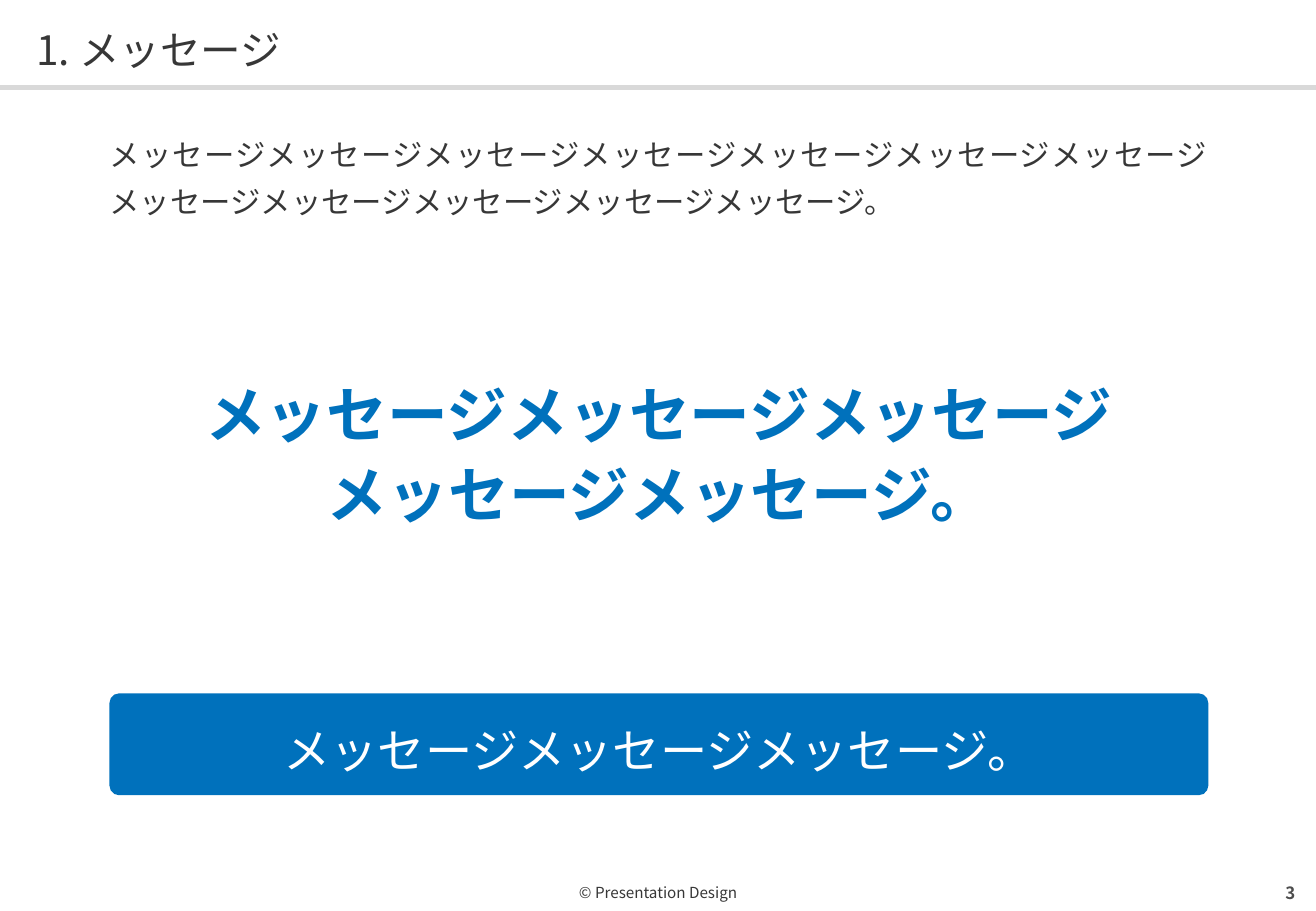
from pptx import Presentation
from pptx.dml.color import RGBColor
from pptx.enum.shapes import MSO_SHAPE as Shape
from pptx.enum.text import MSO_ANCHOR as Anchor, MSO_AUTO_SIZE as AutoSize, PP_ALIGN as Align
from pptx.oxml.ns import qn
from pptx.util import Cm, Pt
from lxml.etree import SubElement

FONT = "Noto Sans CJK JP"
COLORS = {
    "text": "373737",
    "number": "4D4D4D",
    "rule": "D9D9D9",
    "accent": "0071BC",
    "white": "FFFFFF",
}
PAGE_WIDTH, PAGE_HEIGHT = 27.51, 19.05


def color(name):
    return RGBColor.from_string(COLORS[name])


def place(shape, box):
    shape.left, shape.top, shape.width, shape.height = map(Cm, box)


def write(shape, lines, size, ink="text", bold=False, align=Align.LEFT,
          spacing=1.0, anchor=Anchor.TOP, insets=(0, 0, 0, 0), fit=AutoSize.NONE):
    """Fill a shape with one paragraph per line, all in one style."""
    frame = shape.text_frame
    frame.auto_size = fit
    frame.word_wrap = True
    frame.vertical_anchor = anchor
    (frame.margin_left, frame.margin_top,
     frame.margin_right, frame.margin_bottom) = map(Cm, insets)
    frame.text = "\n".join(lines)
    for para in frame.paragraphs:
        para.alignment = align
        para.line_spacing = spacing
        font = para.font
        font.size = Pt(size)
        font.bold = bold
        font.color.rgb = color(ink)
        font.name = FONT
        # East Asian typeface for the Japanese text
        SubElement(font._element, qn("a:ea")).set("typeface", FONT)


def add_block(page, kind, box, fill=None):
    block = page.shapes.add_shape(kind, *map(Cm, box))
    block.shadow.inherit = False
    block.line.fill.background()
    if fill:
        block.fill.solid()
        block.fill.fore_color.rgb = color(fill)
    else:
        block.fill.background()
    return block


def add_panel(page, box, lines, size, fill=None, rounding=0, **style):
    """Rounded panel that grows with its text."""
    panel = add_block(page, Shape.ROUNDED_RECTANGLE, box, fill)
    panel.adjustments[0] = rounding
    write(panel, lines, size, fit=AutoSize.SHAPE_TO_FIT_TEXT, **style)


def add_header(page, box, title):
    left, top, width, height = box
    rule_height = 0.1
    add_block(page, Shape.RECTANGLE,
              (left, top + height - rule_height, width, rule_height), "rule")
    heading = page.shapes.title
    place(heading, (left + 0.76, top + 0.43, width - 1.5, 1.09))
    write(heading, [title], 24, spacing=1.1, anchor=Anchor.MIDDLE)


def add_messages(page, box):
    left, top, width, height = box
    # Lead text
    add_panel(page, (left, top, width, 1.93), ["メッセージ" * 12 + "。"], 18,
              align=Align.JUSTIFY, spacing=1.3)
    # Key message
    add_panel(page, (left, top + 5.1, width, 3.38),
              ["メッセージ" * 3, "メッセージ" * 2 + "。"], 36,
              ink="accent", bold=True, align=Align.CENTER, spacing=1.1)
    # Closing banner along the bottom
    banner_height = 2.13
    add_panel(page, (left, top + height - banner_height, width, banner_height),
              ["メッセージ" * 3 + "。"], 28, fill="accent", rounding=0.093,
              ink="white", align=Align.CENTER, spacing=1.1,
              anchor=Anchor.MIDDLE, insets=(0.5, 0.4, 0.5, 0.3))


def add_footer(page, box, credit, number):
    left, top, width, height = box
    credit_width, number_width = 8.6, 6.43
    add_panel(page, (left + (width - credit_width) / 2, top, credit_width, 0.53),
              [credit], 9, align=Align.CENTER, spacing=1.4)
    number_box = (left + width - number_width - 0.43, top, number_width, height)
    write(page.shapes.add_textbox(*map(Cm, number_box)), [number], 10,
          ink="number", bold=True, align=Align.RIGHT, anchor=Anchor.MIDDLE)


def main():
    deck = Presentation()
    deck.slide_width, deck.slide_height = Cm(PAGE_WIDTH), Cm(PAGE_HEIGHT)
    page = deck.slides.add_slide(deck.slide_layouts.get_by_name("Title Only"))
    add_header(page, (0, 0, PAGE_WIDTH, 1.88), "1. メッセージ")
    add_messages(page, (2.29, 2.62, 22.97, 14.01))
    add_footer(page, (0, 18.31, PAGE_WIDTH, 0.71), "© Presentation Design", "3")
    deck.save("out.pptx")


if __name__ == "__main__":
    main()
